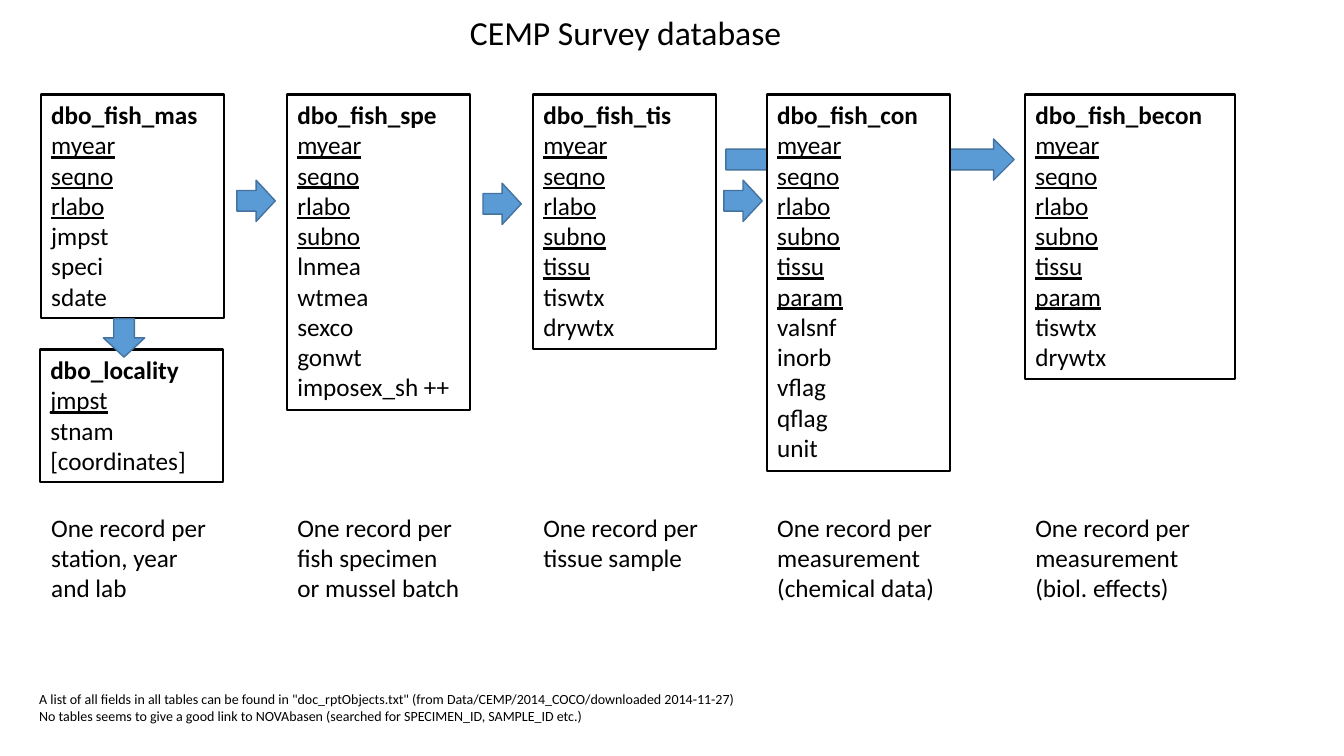
from pptx import Presentation
from pptx.dml.color import RGBColor
from pptx.enum.shapes import MSO_SHAPE
from pptx.enum.text import MSO_ANCHOR, PP_ALIGN
from pptx.util import Inches, Pt

BLACK = RGBColor(0x00, 0x00, 0x00)
WHITE = RGBColor(0xFF, 0xFF, 0xFF)
BLUE = RGBColor(0x5B, 0x9B, 0xD5)
NAVY = RGBColor(0x43, 0x73, 0x9E)

WIDE, HIGH = 13.33, 7.5
ROW = 0.303
PAD = 0.1
TOP = HIGH / 8
NOTE_TOP = 5.03
BOX_W = 1.81
ARROW_W, ARROW_H = 0.38, 0.41

TABLES = [
    (0.41, BOX_W, "dbo_fish_mas", "myear seqno rlabo", ["jmpst", "speci", "sdate"],
     "One record per station, year and lab", 3),
    (2.85, BOX_W, "dbo_fish_spe", "myear seqno rlabo subno",
     ["lnmea", "wtmea", "sexco", "gonwt", "imposex_sh ++"],
     "One record per fish specimen or mussel batch", 4),
    (5.29, BOX_W, "dbo_fish_tis", "myear seqno rlabo subno tissu", ["tiswtx", "drywtx"],
     "One record per tissue sample", 2),
    (7.61, BOX_W, "dbo_fish_con", "myear seqno rlabo subno tissu param",
     ["valsnf", "inorb", "vflag", "qflag", "unit"],
     "One record per measurement\n(chemical data)", 3),
    (10.17, 2.08, "dbo_fish_becon", "myear seqno rlabo subno tissu param",
     ["tiswtx", "drywtx"], "One record per measurement\n(biol. effects)", 3),
]
FOOTER = (
    'A list of all fields in all tables can be found in "doc_rptObjects.txt" '
    "(from Data/CEMP/2014_COCO/downloaded 2014-11-27)\n"
    "No tables seems to give a good link to NOVAbasen "
    "(searched for SPECIMEN_ID, SAMPLE_ID etc.)"
)


def write(para, text, size=18, bold=False, under=False, align=PP_ALIGN.LEFT):
    """Put one formatted run in a paragraph."""
    para.alignment = align
    run = para.add_run()
    run.text = text
    font = run.font
    font.name, font.size = "Calibri", Pt(size)
    font.bold, font.underline = bold, under
    font.color.rgb = BLACK


def label(slide, box, lines, size=18):
    """Add a text box from pairs of text and format."""
    shape = slide.shapes.add_textbox(*map(Inches, box))
    frame = shape.text_frame
    frame.word_wrap = True
    for i, (text, look) in enumerate(lines):
        para = frame.add_paragraph() if i else frame.paragraphs[0]
        write(para, text, size=size, **look)
    return shape


def plain(text):
    """Pair each line of a text with an empty format."""
    return [(line, {}) for line in text.split("\n")]


def table(slide, left, top, width, name, keys, fields):
    """Draw a framed table with its name, keys and fields."""
    lines = [(name, {"bold": True})]
    lines += [(key, {"under": True}) for key in keys.split()]
    lines += [(field, {}) for field in fields]
    shape = label(slide, (left, top, width, PAD + ROW * len(lines)), lines)
    shape.fill.solid()
    shape.fill.fore_color.rgb = WHITE
    shape.line.color.rgb = BLACK
    shape.line.width = Pt(1.5)


def arrow(slide, left, top, width=ARROW_W, turn=0):
    """Draw a blue block arrow."""
    shape = slide.shapes.add_shape(
        MSO_SHAPE.RIGHT_ARROW, *map(Inches, (left, top, width, ARROW_H)))
    shape.shadow.inherit = False
    shape.rotation = turn
    shape.fill.solid()
    shape.fill.fore_color.rgb = BLUE
    shape.line.color.rgb = NAVY
    shape.line.width = Pt(1)


def header(slide, left, top, width, height):
    """Place and fill the title."""
    title = slide.shapes.title
    title.left, title.top = Inches(left), Inches(top)
    title.width, title.height = Inches(width), Inches(height)
    frame = title.text_frame
    frame.vertical_anchor = MSO_ANCHOR.BOTTOM
    para = frame.paragraphs[0]
    para.line_spacing = 0.9
    write(para, "CEMP Survey database", size=24, align=PP_ALIGN.CENTER)


def schema(slide, top, base):
    """Draw the tables, their notes and the arrows between them."""
    arrow(slide, 7.2, top + 0.44, width=2.86)
    for left, width, name, keys, fields, note, rows in TABLES:
        table(slide, left, top, width, name, keys, fields)
        label(slide, (left, base, BOX_W, PAD + ROW * rows), plain(note))
    for left, drop in ((2.35, 0.85), (4.79, 0.88), (7.18, 0.85)):
        arrow(slide, left, top + drop)
    table(slide, 0.4, top + 2.53, BOX_W, "dbo_locality", "jmpst", ["stnam", "[coordinates]"])
    arrow(slide, 1.04, top + 2.21, turn=90)


def main():
    """Build and save the slide."""
    deck = Presentation()
    deck.slide_width, deck.slide_height = Inches(WIDE), Inches(HIGH)
    slide = deck.slides.add_slide(deck.slide_layouts[5])
    header(slide, 2.6, 0.06, 7.21, 0.51)
    schema(slide, TOP, NOTE_TOP)
    label(slide, (0.29, 6.8, 9.38, 0.44), plain(FOOTER), size=10)
    deck.save("out.pptx")


if __name__ == "__main__":
    main()
